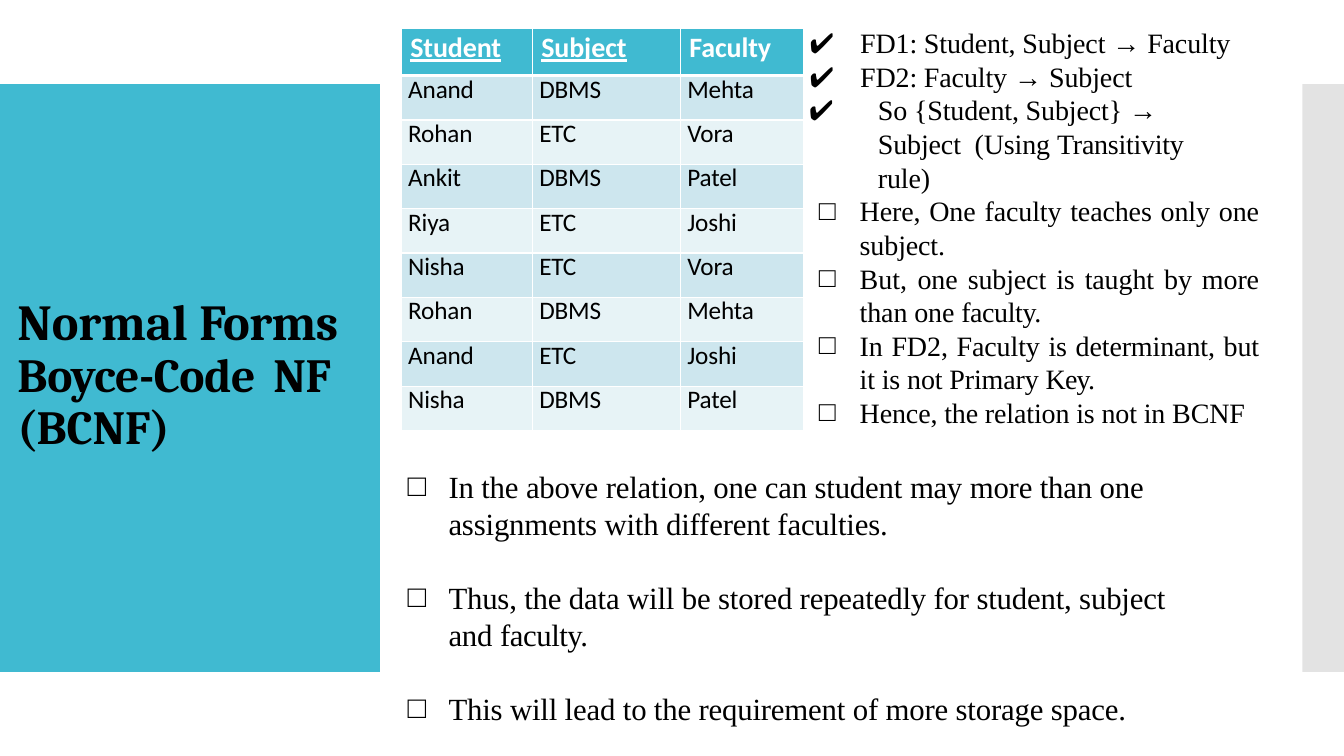
from lxml.etree import SubElement
from pptx import Presentation
from pptx.dml.color import RGBColor
from pptx.enum.shapes import MSO_SHAPE as SHAPE
from pptx.enum.text import MSO_AUTO_SIZE as AUTO, PP_ALIGN as ALIGN
from pptx.oxml.ns import qn
from pptx.util import Pt

rgb = RGBColor.from_string
TEAL, BLACK, WHITE = "40BAD1", "000000", "FFFFFF"
SERIF = "Times New Roman"


def add_runs(p, runs, size, font, color=BLACK, bold=False):
    """Each run is (text, letter spacing in points[, font or size])."""
    for text, spacing, *other in runs:
        r = p.add_run()
        r.text = text
        r.font.size, r.font.name = Pt(size), font
        r.font.bold, r.font.color.rgb = bold, rgb(color)
        for value in other:
            if isinstance(value, str):
                r.font.name = value
            else:
                r.font.size = Pt(value)
        r._r.get_or_add_rPr().set("spc", str(round(spacing * 100)))


def set_indent(p, left, first=0, right=0, bullet=None, tab=None):
    pPr = p._p.get_or_add_pPr()
    for name, value in (("marL", left), ("indent", first), ("marR", right)):
        pPr.set(name, str(Pt(value)))
    if bullet:
        SubElement(pPr, qn("a:buFont"), typeface=SERIF)
        SubElement(pPr, qn("a:buChar"), char=bullet)
    else:
        SubElement(pPr, qn("a:buNone"))
    if tab:
        tabs = SubElement(pPr, qn("a:tabLst"))
        SubElement(tabs, qn("a:tab"), pos=str(Pt(tab)), algn="l")


prs = Presentation()
prs.slide_width, prs.slide_height = Pt(960), Pt(540)
s = prs.slides.add_slide(prs.slide_layouts[6])

# Side panels
for left, width, color, alpha in ((0, 271.4, TEAL, 100), (930.2, 29.8, "C8C8C8", 50)):
    sp = s.shapes.add_shape(SHAPE.RECTANGLE, Pt(left), Pt(60), Pt(width), Pt(420))
    sp.shadow.inherit = False
    sp.fill.solid()
    sp.fill.fore_color.rgb = rgb(color)
    sp.line.fill.background()
    if alpha < 100:
        fill = sp._element.spPr.find(qn("a:solidFill"))
        SubElement(fill[0], qn("a:alpha"), val=str(alpha * 1000))

# Title
sp = s.shapes.add_textbox(Pt(11.5), Pt(207.4), Pt(237.6), Pt(118.8))
tf = sp.text_frame
tf.word_wrap, tf.auto_size = True, AUTO.SHAPE_TO_FIT_TEXT
tf.margin_left = tf.margin_right = tf.margin_bottom = 0
tf.margin_top = Pt(5)
p = tf.paragraphs[0]
set_indent(p, 1)
p.alignment, p.line_spacing = ALIGN.JUSTIFY, 0.9
add_runs(p, [("Normal ", -0.1), ("Forms  ", -0.4), ("Boyce-Code ", -0.2, 34),
             ("NF  (BCNF)", -0.1, 34)], 36, "Cambria", bold=True)

# Student, subject and faculty table
rows = [
    ("Student", "Subject", "Faculty"),
    ("Anand", "DBMS", "Mehta"),
    ("Rohan", "ETC", "Vora"),
    ("Ankit", "DBMS", "Patel"),
    ("Riya", "ETC", "Joshi"),
    ("Nisha", "ETC", "Vora"),
    ("Rohan", "DBMS", "Mehta"),
    ("Anand", "ETC", "Joshi"),
    ("Nisha", "DBMS", "Patel"),
]
table = s.shapes.add_table(len(rows), 3, Pt(286.6), Pt(20.2), Pt(287.3), Pt(287.3)).table
for column, width in zip(table.columns, (93.6, 105.8, 87.9)):
    column.width = Pt(width)
for i, row in enumerate(rows):
    header = i == 0
    table.rows[i].height = Pt(33.8 if header else 31.7)
    for j, text in enumerate(row):
        cell = table.cell(i, j)
        cell.margin_left = cell.margin_right = cell.margin_bottom = 0
        cell.margin_top = Pt(2 if header else 0)
        tcPr = cell._tc.get_or_add_tcPr()
        for side in "LRTB":
            thick = (i, side) in ((0, "B"), (1, "T"))
            ln = SubElement(tcPr, qn("a:ln" + side), w=str(Pt(3 if thick else 1)))
            SubElement(SubElement(ln, qn("a:solidFill")), qn("a:srgbClr"), val=WHITE)
        cell.fill.solid()
        cell.fill.fore_color.rgb = rgb(TEAL if header else ("E7F3F6", "CDE6EE")[i % 2])
        p = cell.text_frame.paragraphs[0]
        set_indent(p, 6.5 if header else 5)
        if header:
            add_runs(p, [(text, -0.1)], 20, "Calibri", WHITE, True)
            p.runs[0].font.underline = j < 2
        else:
            p.line_spacing = Pt(20.9)
            add_runs(p, [(text, -0.2 if text == "ETC" else -0.1)], 18, "Calibri")

# Text lists
check = ("✔\t", 2.5, "Lato")
dependencies = [
    [check, ("FD1: Student, Subject ", -0.1), ("→", 0), (" Faculty", -0.1)],
    [check, ("FD2: Faculty ", -0.1), ("→ ", 0), ("Subject", -0.1)],
    [check, ("So {Student, Subject} ", -0.1), ("→ ", 0), ("Subject  (Using ", -0.1),
     ("Transitivity ", -0.2), ("rule)", -0.1)],
]
findings = [
    [("Here, One faculty teaches only one subject.", -0.1)],
    [("But, ", 0), ("one subject is taught by more than one ", -0.1), ("faculty.", -0.3)],
    [("In FD2, Faculty is determinant, but it is not Primary ", -0.1), ("Key.", -0.6)],
    [("Hence, the relation is not in BCNF", -0.1)],
]
consequences = [
    [("In the ", -0.1), ("above ", -0.2), ("relation, one can student ", -0.1),
     ("may ", -0.2), ("more than one assignments with different faculties.", -0.1)],
    [("Thus, the data will be stored repeatedly for student, subject and ", -0.1),
     ("faculty.", -0.3)],
    [("This will lead to the requirement of more storage space.", -0.1)],
]
# left, top, width, height, size, gap between paragraphs, alignment, paragraphs
lists = [
    (577.4, 17.3, 307.4, 98, 20, 0, ALIGN.LEFT, dependencies),
    (583.9, 137.5, 329.8, 170, 20, 0, ALIGN.JUSTIFY, findings),
    (290.2, 333.4, 585.4, 186.5, 22, 26.5, ALIGN.LEFT, consequences),
]
for left, top, width, height, size, gap, align, paragraphs in lists:
    sp = s.shapes.add_textbox(Pt(left), Pt(top), Pt(width), Pt(height))
    tf = sp.text_frame
    tf.word_wrap, tf.auto_size = True, AUTO.SHAPE_TO_FIT_TEXT
    tf.margin_left = tf.margin_right = tf.margin_bottom = 0
    tf.margin_top = Pt(1)
    for i, runs in enumerate(paragraphs):
        p = tf.paragraphs[0] if i == 0 else tf.add_paragraph()
        if runs[0] != check:
            set_indent(p, 30.2, -29.2, 14.5, bullet="□")
        elif i < 2:
            set_indent(p, 1, tab=36.7)
        else:
            set_indent(p, 49.7, -49, 7, tab=36.7)
        p.alignment, p.line_spacing = align, Pt(size * 1.2)
        if i and gap:
            p.space_before = Pt(gap)
        add_runs(p, runs, size, SERIF)

prs.save("out.pptx")
